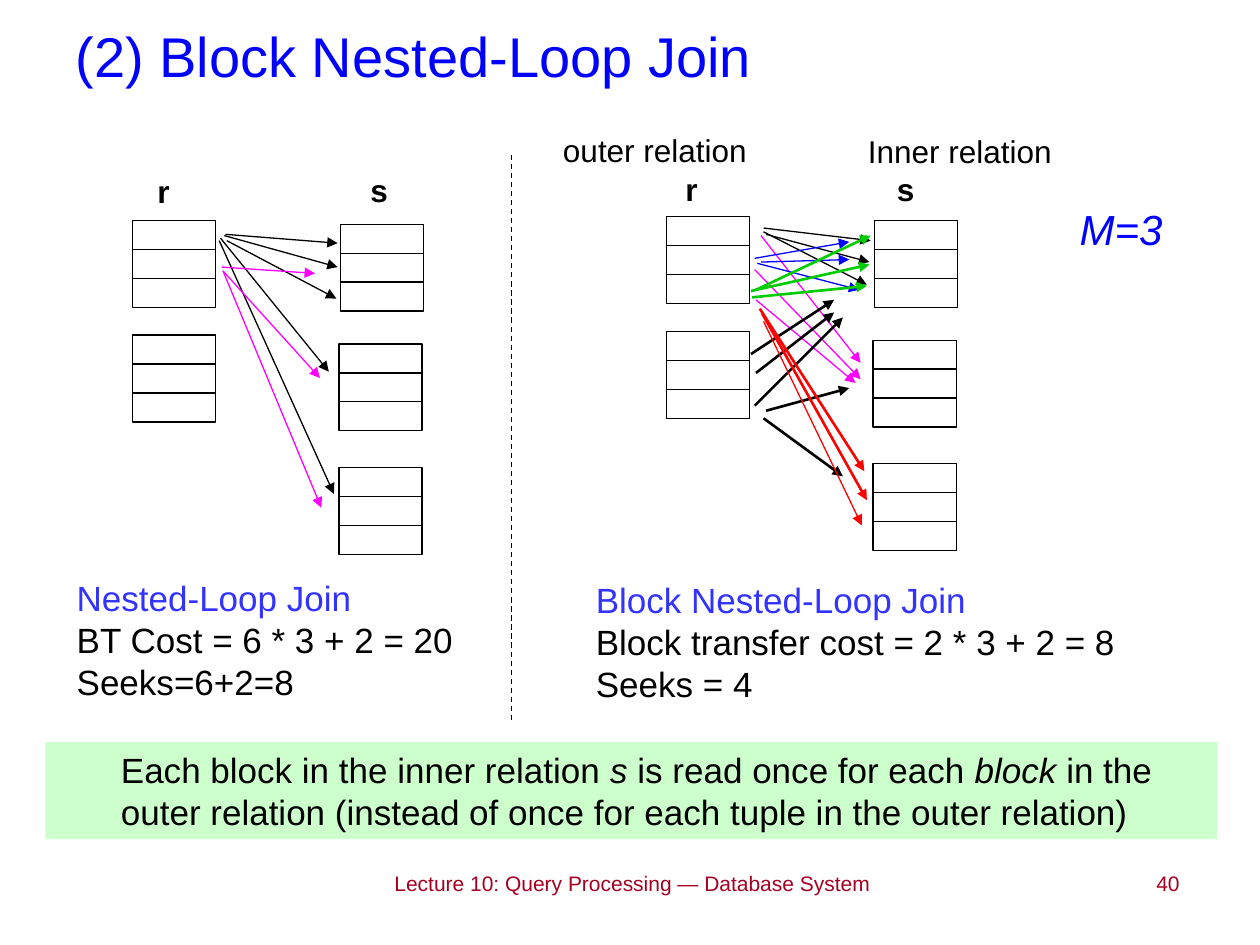
from pptx import Presentation
from pptx.dml.color import RGBColor
from pptx.enum.dml import MSO_LINE
from pptx.enum.shapes import MSO_CONNECTOR, MSO_SHAPE
from pptx.enum.text import MSO_ANCHOR, PP_ALIGN
from pptx.oxml.ns import qn
from pptx.util import Pt
from lxml.etree import SubElement

PX = 9144
FONT = "Arial"
BLACK, BLUE, HEADING = "000000", "0000FF", "3333FF"
MAGENTA, GREEN, RED = "FF00FF", "00CC00", "FF0000"
PALE_GREEN, MAROON = "CCFFCC", "A50021"
BLOCK_W, ROWS_H, ROW_STEP = 66, 46, 23

BLOCKS = [
    (105, 175), (105, 266),
    (270, 178), (269, 273), (269, 371),
    (529, 172), (529, 263),
    (694, 175), (693, 270), (693, 368),
]

ARROWS = [
    (BLACK, 0.75, [
        (179, 186, 268, 193), (178, 187, 268, 212), (180, 191, 267, 237),
        (175, 189, 261, 295), (174, 191, 265, 392),
        (606, 181, 691, 191), (608, 186, 690, 208), (606, 184, 688, 226),
    ]),
    (MAGENTA, 0.75, [
        (176, 212, 250, 217), (177, 215, 254, 300), (177, 215, 255, 403),
        (604, 187, 683, 288), (599, 214, 683, 301), (600, 238, 679, 304),
    ]),
    (BLUE, 0.75, [
        (599, 205, 674, 192), (604, 208, 674, 206), (601, 209, 682, 230),
    ]),
    (GREEN, 1.5, [
        (600, 230, 691, 187), (596, 231, 690, 210), (597, 236, 688, 227),
    ]),
    (BLACK, 1.5, [
        (596, 281, 662, 238), (600, 296, 662, 248), (599, 322, 669, 252),
        (608, 326, 674, 308), (606, 332, 669, 378),
    ]),
    (RED, 1.5, [(603, 245, 686, 374), (605, 249, 688, 397)]),
    (RED, 0.75, [(606, 255, 684, 417)]),
]

RELATION_LABELS = [("r", 115, 132), ("s", 284, 131), ("r", 534, 130), ("s", 702, 130)]


def px(*values):
    """Turn px lengths into EMU."""
    return [v * PX for v in values]


def rgb(color):
    """Turn a hex string into a colour."""
    return RGBColor.from_string(color)


def write_run(p, text, size=18, color=BLACK, bold=False, italic=False):
    """Add one formatted run to a paragraph."""
    r = p.add_run()
    r.text = text
    r.font.name = FONT
    r.font.size = Pt(size)
    r.font.color.rgb = rgb(color)
    r.font.bold = bold
    r.font.italic = italic


def place(sp, box):
    """Move a shape to its box."""
    sp.left, sp.top, sp.width, sp.height = px(*box)


def add_text(slide, text, box, align=PP_ALIGN.LEFT, **fmt):
    """Add a text box with one paragraph and return its frame."""
    tf = slide.shapes.add_textbox(*px(*box)).text_frame
    tf.word_wrap = True
    p = tf.paragraphs[0]
    p.alignment = align
    write_run(p, text, **fmt)
    return tf


def add_title(slide, text, box):
    """Move and format the title placeholder."""
    sp = slide.shapes.title
    place(sp, box)
    tf = sp.text_frame
    tf.vertical_anchor = MSO_ANCHOR.MIDDLE
    p = tf.paragraphs[0]
    p.alignment = PP_ALIGN.LEFT
    write_run(p, text, size=32, color=BLUE)


def add_cost(slide, heading, lines, box):
    """Add a coloured heading with its cost lines below."""
    tf = add_text(slide, heading, box, size=20, color=HEADING)
    for line in lines:
        write_run(tf.add_paragraph(), line, size=20)


def add_rect(slide, box, fill=None, line=None):
    """Add a plain rectangle."""
    sp = slide.shapes.add_shape(MSO_SHAPE.RECTANGLE, *px(*box))
    sp.shadow.inherit = False
    if fill:
        sp.fill.solid()
        sp.fill.fore_color.rgb = rgb(fill)
    else:
        sp.fill.background()
    if line:
        sp.line.color.rgb = rgb(line)
        sp.line.width = Pt(0.75)
    else:
        sp.line.fill.background()
    return sp


def add_block(slide, x, y):
    """Draw a three-row block as two overlapping rectangles."""
    for top in (y, y + ROW_STEP):
        add_rect(slide, (x, top, BLOCK_W, ROWS_H), line=BLACK)


def add_line(slide, ends, color=BLACK, width=0.75, arrow=True):
    """Add an arrow, or a dashed line when arrow is off."""
    cn = slide.shapes.add_connector(MSO_CONNECTOR.STRAIGHT, *px(*ends))
    cn.line.color.rgb = rgb(color)
    cn.line.width = Pt(width)
    if arrow:
        SubElement(cn.line._get_or_add_ln(), qn("a:tailEnd"), type="triangle")
    else:
        cn.line.dash_style = MSO_LINE.DASH
    SubElement(cn._element.spPr, qn("a:effectLst"))


def add_summary(slide, runs, box):
    """Add the filled band with its mixed upright and italic text."""
    tf = add_rect(slide, box, fill=PALE_GREEN).text_frame
    tf.word_wrap = True
    tf.vertical_anchor = MSO_ANCHOR.TOP
    tf.margin_left = 60 * PX
    p = tf.paragraphs[0]
    p.alignment = PP_ALIGN.LEFT
    for text, italic in runs:
        write_run(p, text, size=20, italic=italic)


def main():
    """Build the slide and save it."""
    prs = Presentation()
    prs.slide_width, prs.slide_height = px(1000, 750)
    slide = prs.slides.add_slide(prs.slide_layouts[5])
    add_title(slide, "(2) Block Nested-Loop Join", (50, -19, 900, 125))

    for x, y in BLOCKS:
        add_block(slide, x, y)
    for color, width, arrows in ARROWS:
        for ends in arrows:
            add_line(slide, ends, color, width)
    add_line(slide, (406, 123, 406, 572), arrow=False)

    for text, x, y in RELATION_LABELS:
        add_text(slide, text, (x, y, 72, 40), bold=True)
    add_text(slide, "outer relation", (437, 99, 223, 40))
    add_text(slide, "Inner relation", (679, 100, 223, 40))
    add_text(slide, "M=3", (847, 157, 102, 50), size=24, color=BLUE, italic=True)

    add_cost(slide, "Nested-Loop Join",
             ["BT Cost = 6 * 3 + 2 = 20", "Seeks=6+2=8"], (51, 453, 339, 110))
    add_cost(slide, "Block Nested-Loop Join",
             ["Block transfer cost = 2 * 3 + 2 = 8", "Seeks = 4"], (463, 454, 541, 110))
    add_summary(slide, [
        ("Each block in the inner relation ", False),
        ("s", True),
        (" is read once for each ", False),
        ("block", True),
        (" in the outer relation (instead of once for each tuple in the outer relation)", False),
    ], (36, 589, 930, 77))

    add_text(slide, "Lecture 10: Query Processing — Database System",
             (231, 686, 542, 45), PP_ALIGN.CENTER, size=12, color=MAROON)
    add_text(slide, "40", (804, 686, 142, 44), PP_ALIGN.RIGHT, size=12, color=MAROON)
    prs.save("out.pptx")


if __name__ == "__main__":
    main()
